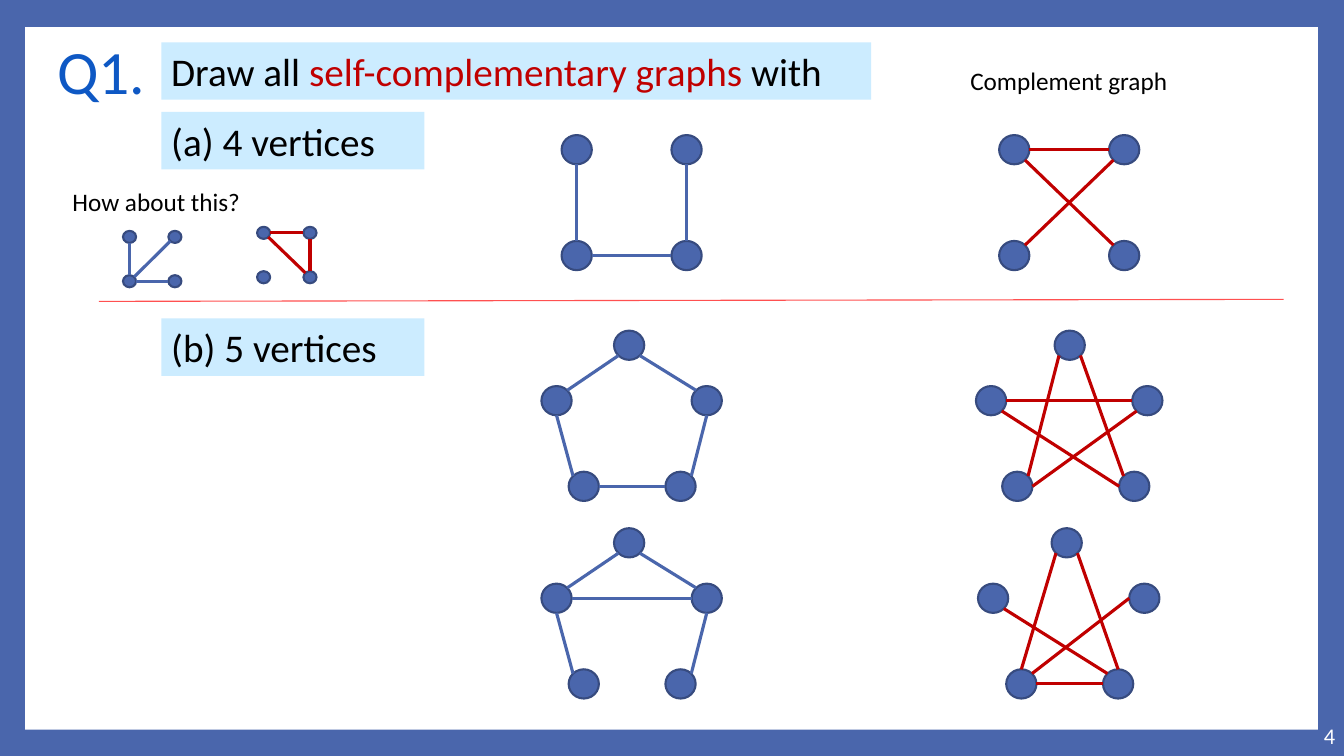
from dataclasses import dataclass
from enum import Enum

from lxml.etree import SubElement
from pptx import Presentation
from pptx.dml.color import RGBColor
from pptx.enum.shapes import MSO_CONNECTOR as Connector, MSO_SHAPE as Preset
from pptx.enum.text import MSO_ANCHOR as Anchor, PP_ALIGN as Align
from pptx.oxml.ns import qn
from pptx.shapes.shapetree import GroupShapes, SlideShapes
from pptx.slide import Slide
from pptx.util import Inches, Pt

COLORS = {
    "frame": "4A66AC",
    "outline": "374B7F",
    "title": "0E58C4",
    "label": "CCECFF",
    "red": "C00000",
    "divider": "FF5050",
    "black": "000000",
    "white": "FFFFFF",
}
FONT = "Calibri"
LARGE = (0.3, 0.29)
SMALL = (0.13, 0.12)
DIAGONAL = 0.71


class Site(Enum):
    N = (0, -1)
    S = (0, 1)
    E = (1, 0)
    W = (-1, 0)
    NE = (DIAGONAL, -DIAGONAL)
    NW = (-DIAGONAL, -DIAGONAL)
    SE = (DIAGONAL, DIAGONAL)
    SW = (-DIAGONAL, DIAGONAL)


@dataclass(frozen=True)
class Run:
    text: str
    color: str = "black"


@dataclass(frozen=True)
class Label:
    box: tuple[float, float, float, float]
    runs: tuple[Run, ...]
    size: int
    fill: str | None = None
    align: Align = Align.LEFT
    anchor: Anchor = Anchor.TOP
    line_spacing: float = 1.0


@dataclass(frozen=True)
class Graph:
    vertices: tuple[tuple[float, float], ...]
    edges: str
    color: str = "frame"
    vertex_size: tuple[float, float] = LARGE


def square(left: float, top: float, width: float, height: float) -> tuple[tuple[float, float], ...]:
    return tuple((left + x, top + y) for y in (0, height) for x in (0, width))


def pentagon(
    top: float, upper: tuple[float, float], lower: tuple[float, float], apex: float
) -> tuple[tuple[float, float], ...]:
    sides = tuple((x, top + 0.55) for x in upper)
    feet = tuple((x, top + 1.4) for x in lower)
    return sides + feet + ((apex, top),)


LABELS = [
    Label((0.47, 0.32, 1.43, 0.84), (Run("Q1.", "title"),), 44,
          anchor=Anchor.MIDDLE, line_spacing=0.9),
    Label((11.47, 7.1, 1.87, 0.4), (Run("4", "white"),), 16,
          align=Align.RIGHT, anchor=Anchor.MIDDLE),
    Label((1.6, 0.42, 7.04, 0.57),
          (Run("Draw all "), Run("self-complementary graphs ", "red"), Run("with")), 28, "label"),
    Label((1.6, 1.11, 2.61, 0.57), (Run("(a) 4 vertices"),), 28, "label"),
    Label((1.6, 3.16, 2.61, 0.57), (Run("(b) 5 vertices"),), 28, "label"),
    Label((9.16, 0.6, 2.88, 0.4), (Run("Complement graph"),), 18, align=Align.CENTER),
    Label((0.62, 1.8, 1.96, 0.4), (Run("How about this?"),), 18),
]

GRAPHS = [
    Graph(square(5.57, 1.34, 1.09, 1.05), "0S-2N 1S-3N 3W-2E"),
    Graph(square(9.91, 1.34, 1.09, 1.05), "0SE-3NW 1SW-2NE 1W-0E", "red"),
    Graph(pentagon(3.28, (5.37, 6.86), (5.64, 6.6), 6.09),
          "0S-2NW 1S-3NE 3W-2E 4SE-1NW 4SW-0NE"),
    Graph(pentagon(3.28, (9.68, 11.23), (9.94, 11.1), 10.46),
          "2E-1SW 3W-0SE 0E-1W 4SE-3NW 4SW-2NE", "red"),
    Graph(pentagon(5.24, (5.37, 6.86), (5.64, 6.6), 6.09),
          "0S-2NW 1S-3NE 1W-0E 4SE-1NW 4SW-0NE"),
    Graph(pentagon(5.24, (9.7, 11.2), (9.98, 10.94), 10.43),
          "1W-2NE 3W-2E 3NW-0SE 4SE-3N 4SW-2N", "red"),
    Graph(square(1.22, 2.29, 0.45, 0.44), "0S-2N 1SW-2NE 3W-2E", vertex_size=SMALL),
    Graph(square(2.55, 2.25, 0.46, 0.44), "0E-1W 3NW-0SE 3N-1S", "red", SMALL),
]


def rgb(name: str) -> RGBColor:
    return RGBColor.from_string(COLORS[name])


def add_label(slide: Slide, label: Label) -> None:
    shape = slide.shapes.add_textbox(*map(Inches, label.box))
    if label.fill:
        shape.fill.solid()
        shape.fill.fore_color.rgb = rgb(label.fill)
    frame = shape.text_frame
    frame.word_wrap = True
    frame.vertical_anchor = label.anchor
    paragraph = frame.paragraphs[0]
    paragraph.alignment = label.align
    paragraph.line_spacing = label.line_spacing
    for part in label.runs:
        run = paragraph.add_run()
        run.text = part.text
        run.font.name = FONT
        run.font.size = Pt(label.size)
        run.font.color.rgb = rgb(part.color)


def add_line(
    shapes: SlideShapes | GroupShapes,
    start: tuple[float, float],
    end: tuple[float, float],
    color: str,
    width: float,
) -> None:
    connector = shapes.add_connector(Connector.STRAIGHT, *map(Inches, start + end))
    connector.line.color.rgb = rgb(color)
    connector.line.width = Pt(width)
    SubElement(connector._element.spPr, qn("a:effectLst"))


def edge_end(graph: Graph, code: str) -> tuple[float, float]:
    left, top = graph.vertices[int(code[0])]
    width, height = graph.vertex_size
    across, down = Site[code[1:]].value
    return left + width / 2 * (1 + across), top + height / 2 * (1 + down)


def add_graph(slide: Slide, graph: Graph) -> None:
    shapes = slide.shapes.add_group_shape().shapes
    for vertex in graph.vertices:
        shape = shapes.add_shape(Preset.OVAL, *map(Inches, vertex + graph.vertex_size))
        shape.shadow.inherit = False
        shape.fill.solid()
        shape.fill.fore_color.rgb = rgb("frame")
        shape.line.color.rgb = rgb("outline")
        shape.line.width = Pt(1.5)
    for edge in graph.edges.split():
        start, end = edge.split("-")
        add_line(shapes, edge_end(graph, start), edge_end(graph, end), graph.color, 2.25)


def add_backdrop(slide: Slide) -> None:
    slide.background.fill.solid()
    slide.background.fill.fore_color.rgb = rgb("frame")
    panel = slide.shapes.add_shape(Preset.RECTANGLE, *map(Inches, (0.25, 0.27, 12.82, 6.97)))
    panel.shadow.inherit = False
    panel.fill.solid()
    panel.fill.fore_color.rgb = rgb("white")
    panel.line.fill.background()


def main() -> None:
    presentation = Presentation()
    presentation.slide_width = Inches(13.33)
    presentation.slide_height = Inches(7.5)
    slide = presentation.slides.add_slide(presentation.slide_layouts[6])
    add_backdrop(slide)
    for label in LABELS:
        add_label(slide, label)
    add_line(slide.shapes, (0.98, 2.99), (12.73, 2.97), "divider", 0.79)
    for graph in GRAPHS:
        add_graph(slide, graph)
    presentation.save("out.pptx")


if __name__ == "__main__":
    main()
